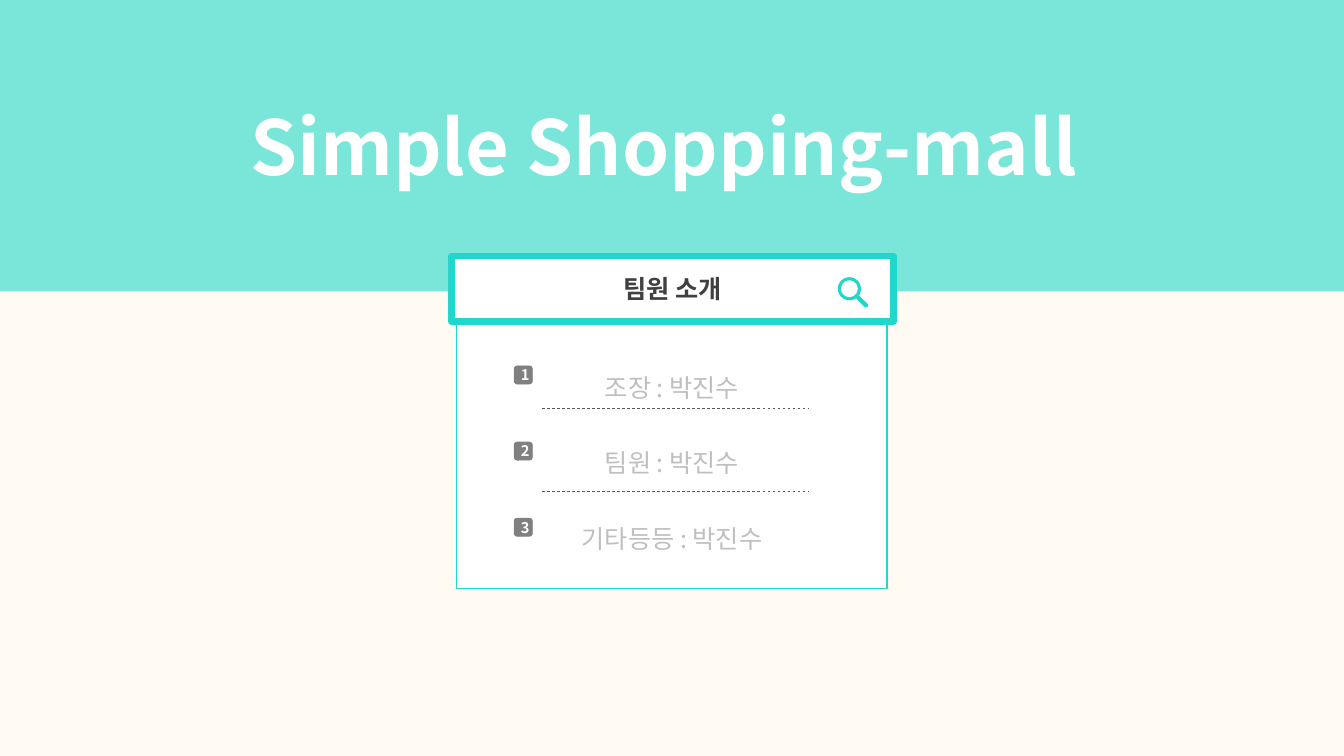
from lxml import etree
from pptx import Presentation
from pptx.dml.color import RGBColor
from pptx.enum.dml import MSO_LINE
from pptx.enum.shapes import MSO_CONNECTOR, MSO_SHAPE
from pptx.enum.text import MSO_ANCHOR, PP_ALIGN
from pptx.oxml.ns import qn
from pptx.util import Inches, Pt

RECTANGLE = MSO_SHAPE.RECTANGLE
ROUNDED = MSO_SHAPE.ROUNDED_RECTANGLE
DONUT = MSO_SHAPE.DONUT
STRAIGHT = MSO_CONNECTOR.STRAIGHT
DASH = MSO_LINE.DASH
MIDDLE = MSO_ANCHOR.MIDDLE
TOP = MSO_ANCHOR.TOP
CENTER = PP_ALIGN.CENTER

FONT = "Noto Sans CJK KR"
COLORS = {
    "background": "FFFBF2",
    "band": "7AE6D9",
    "accent": "1FD7CA",
    "white": "FFFFFF",
    "heading": "404040",
    "member": "BFBFBF",
    "badge": "808080",
    "divider": "595959",
}
MEMBERS = ["조장 : 박진수", "팀원 : 박진수", "기타등등 : 박진수"]


def color(name):
    return RGBColor.from_string(COLORS[name])


def paint(shape, fill, line=None, line_width=1):
    shape.fill.solid()
    shape.fill.fore_color.rgb = color(fill)
    if line:
        shape.line.color.rgb = color(line)
        shape.line.width = Pt(line_width)
    else:
        shape.line.fill.background()


def write(shape, lines, size, text_color, bold=False, anchor=MIDDLE, spacing=None):
    """Fill a shape with centred paragraphs, one per line."""
    frame = shape.text_frame
    frame.word_wrap = True
    frame.vertical_anchor = anchor
    frame.text = "\n".join(lines)
    for paragraph in frame.paragraphs:
        paragraph.alignment = CENTER
        paragraph.line_spacing = spacing
        font = paragraph.font
        font.name = FONT
        font.size = Pt(size)
        font.bold = bold
        font.color.rgb = color(text_color)
        properties = paragraph._p.pPr.find(qn("a:defRPr"))
        etree.SubElement(properties, qn("a:ea"), typeface=FONT)


def add_box(slide, kind, left, top, width, height, fill, line=None, line_width=1):
    shape = slide.shapes.add_shape(
        kind, Inches(left), Inches(top), Inches(width), Inches(height))
    shape.shadow.inherit = False
    paint(shape, fill, line, line_width)
    return shape


def add_line(slide, start, end, line_color, width):
    connector = slide.shapes.add_connector(
        STRAIGHT, *(Inches(value) for value in (*start, *end)))
    connector.line.color.rgb = color(line_color)
    connector.line.width = Pt(width)
    etree.SubElement(connector._element.spPr, qn("a:effectLst"))
    return connector


def add_title_band(slide, text):
    title = slide.shapes.title
    title.left, title.top = Inches(0), Inches(0)
    title.width, title.height = Inches(13.33), Inches(2.89)
    paint(title, "band")
    write(title, [text], 54, "white", bold=True)


def add_search_icon(slide, left, top):
    lens = add_box(slide, DONUT, left, top, 0.23, 0.23, "accent")
    lens.adjustments[0] = 0.13
    handle = add_line(slide, (left + 0.2, top + 0.2), (left + 0.28, top + 0.28),
                      "accent", 3)
    handle.line._ln.set("cap", "rnd")


def add_badge(slide, number, top):
    badge = add_box(slide, ROUNDED, 5.1, top, 0.18, 0.18, "badge", "badge", 0.5)
    frame = badge.text_frame
    frame.margin_left = Inches(0.04)
    frame.margin_right = frame.margin_top = frame.margin_bottom = 0
    write(badge, [str(number)], 10.5, "white", bold=True)


def main():
    presentation = Presentation()
    presentation.slide_width = Inches(13.33)
    presentation.slide_height = Inches(7.5)
    slide = presentation.slides.add_slide(presentation.slide_layouts[5])
    slide.background.fill.solid()
    slide.background.fill.fore_color.rgb = color("background")

    add_title_band(slide, "Simple Shopping-mall ")

    member_panel = add_box(slide, RECTANGLE, 4.53, 3.19, 4.27, 2.65,
                           "white", "accent")
    write(member_panel, MEMBERS, 18, "member", anchor=TOP, spacing=2.5)

    search_bar = add_box(slide, RECTANGLE, 4.48, 2.54, 4.38, 0.65,
                         "white", "accent", 4.75)
    write(search_bar, ["팀원 소개"], 18, "heading", bold=True)
    add_search_icon(slide, 8.31, 2.75)

    for index in range(len(MEMBERS)):
        add_badge(slide, index + 1, 3.63 + 0.755 * index)
    for top in (4.05, 4.87):
        divider = add_line(slide, (5.38, top), (8.02, top), "divider", 0.5)
        divider.line.dash_style = DASH

    presentation.save("out.pptx")


if __name__ == "__main__":
    main()
